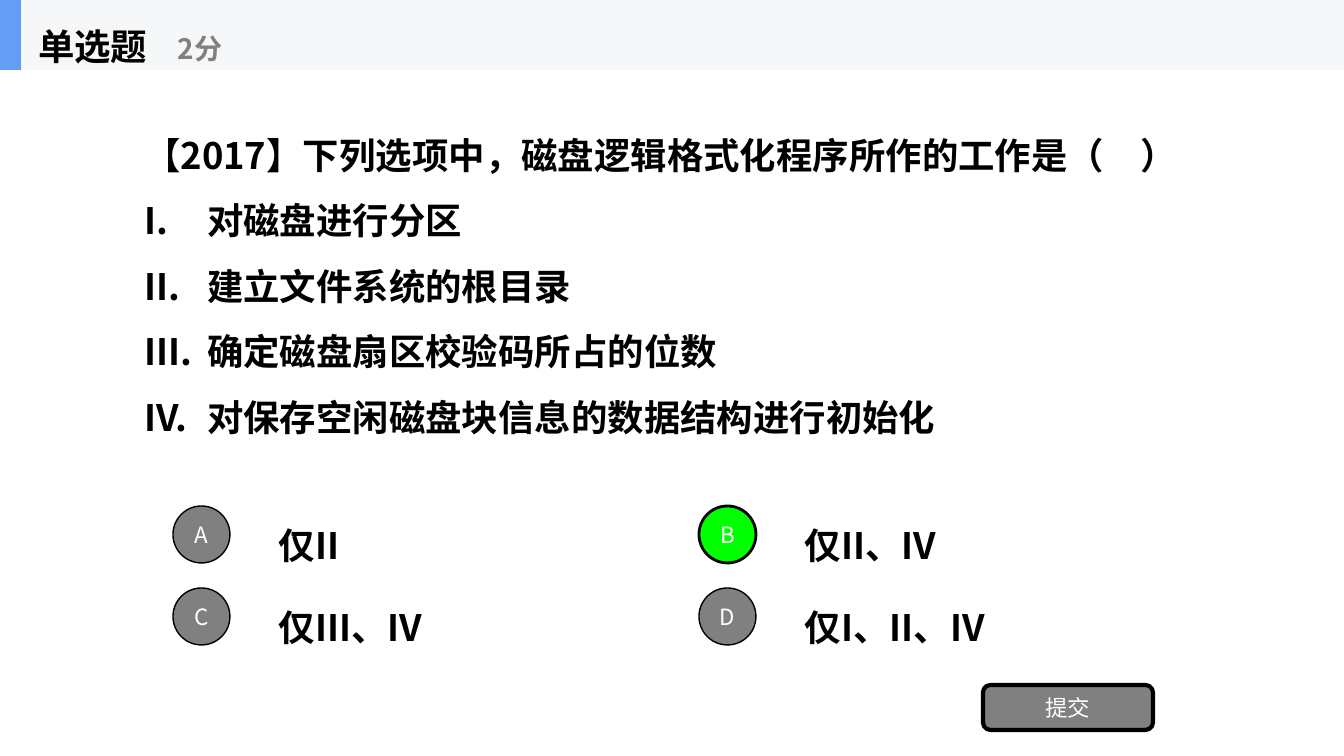
from lxml.etree import SubElement
from pptx import Presentation
from pptx.dml.color import RGBColor
from pptx.enum.shapes import MSO_SHAPE as SHAPE
from pptx.enum.text import MSO_ANCHOR, MSO_AUTO_SIZE, PP_ALIGN as ALIGN
from pptx.oxml.ns import qn
from pptx.util import Pt

PX = 9071  # EMU per pixel
FONT = "Noto Sans CJK SC"
BLACK, GRAY, WHITE, GREEN = "000000", "808080", "FFFFFF", "00FF00"
colour = RGBColor.from_string


def style(shape, size, text_colour, bold=True, align=ALIGN.LEFT, spacing=1.5):
    frame = shape.text_frame
    frame.auto_size = MSO_AUTO_SIZE.NONE
    frame.word_wrap = True
    frame.vertical_anchor = MSO_ANCHOR.MIDDLE
    for paragraph in frame.paragraphs:
        paragraph.alignment = align
        paragraph.line_spacing = spacing
        paragraph.space_before = Pt(0)
        font = paragraph.font
        font.size, font.bold, font.name = Pt(size), bold, FONT
        font.color.rgb = colour(text_colour)
        defaults = paragraph._p.pPr.find(qn("a:defRPr"))
        SubElement(defaults, qn("a:ea"), typeface=FONT)


def add_block(kind, box, fill, outline=0, label=""):
    block = slide.shapes.add_shape(kind, *[n * PX for n in box])
    block.shadow.inherit = False
    block.fill.solid()
    block.fill.fore_color.rgb = colour(fill)
    if outline:
        block.line.color.rgb = colour(BLACK)
        block.line.width = Pt(outline)
    else:
        block.line.fill.background()
    if label:
        frame = block.text_frame
        frame.text = label
        frame.margin_left = frame.margin_right = 0
        style(block, 16, WHITE, bold=False, align=ALIGN.CENTER, spacing=1.0)
    return block


deck = Presentation()
deck.slide_width, deck.slide_height = 1344 * PX, 756 * PX
slide = deck.slides.add_slide(deck.slide_layouts[1])
heading, question = slide.placeholders

# Header band with question type and score
add_block(SHAPE.RECTANGLE, (0, 0, 1344, 70), "F6F7F8")
accent = add_block(SHAPE.RECTANGLE, (0, 0, 21, 70), "639EF4")
accent.element.addnext(heading.element)
heading.left, heading.top, heading.width, heading.height = [n * PX for n in (28, 0, 210, 70)]
heading.text_frame.text = "单选题"
style(heading, 26, BLACK)
score = slide.shapes.add_textbox(*[n * PX for n in (168, 12, 252, 56)])
score.text_frame.text = "2分"
style(score, 20, GRAY)

# Question and its numbered statements
question.left, question.top, question.width, question.height = [n * PX for n in (134, 70, 1076, 410)]
question.text_frame.text = "\n".join([
    "【2017】下列选项中，磁盘逻辑格式化程序所作的工作是（　）",
    "对磁盘进行分区",
    "建立文件系统的根目录",
    "确定磁盘扇区校验码所占的位数",
    "对保存空闲磁盘块信息的数据结构进行初始化",
])
for index, paragraph in enumerate(question.text_frame.paragraphs):
    properties = paragraph._p.get_or_add_pPr()
    indent = 63 * PX if index else 38 * PX
    properties.set("marL", str(indent))
    properties.set("indent", str(-indent))
    if index:
        SubElement(properties, qn("a:buFont"), typeface=FONT)
        SubElement(properties, qn("a:buAutoNum"), type="romanUcPeriod")
    else:
        SubElement(properties, qn("a:buNone"))
style(question, 26, BLACK)

# Answer options in a two by two grid, the right one in green
options = [("A", "仅II"), ("B", "仅II、IV"), ("C", "仅III、IV"), ("D", "仅I、II、IV")]
correct = "B"
for index, (letter, answer) in enumerate(options):
    row, column = divmod(index, 2)
    x, y = 173 + 526 * column, 506 + 82 * row
    is_correct = letter == correct
    add_block(SHAPE.OVAL, (x, y, 57, 57), GREEN if is_correct else GRAY,
              2 if is_correct else 1, letter)
    choice = slide.shapes.add_textbox(*[n * PX for n in (x + 96, y - 7, 430, 70)])
    choice.text_frame.text = answer
    style(choice, 26, BLACK)

# Submit button
add_block(SHAPE.ROUNDED_RECTANGLE, (983, 685, 170, 45), GRAY, 3, "提交")

deck.save("out.pptx")
